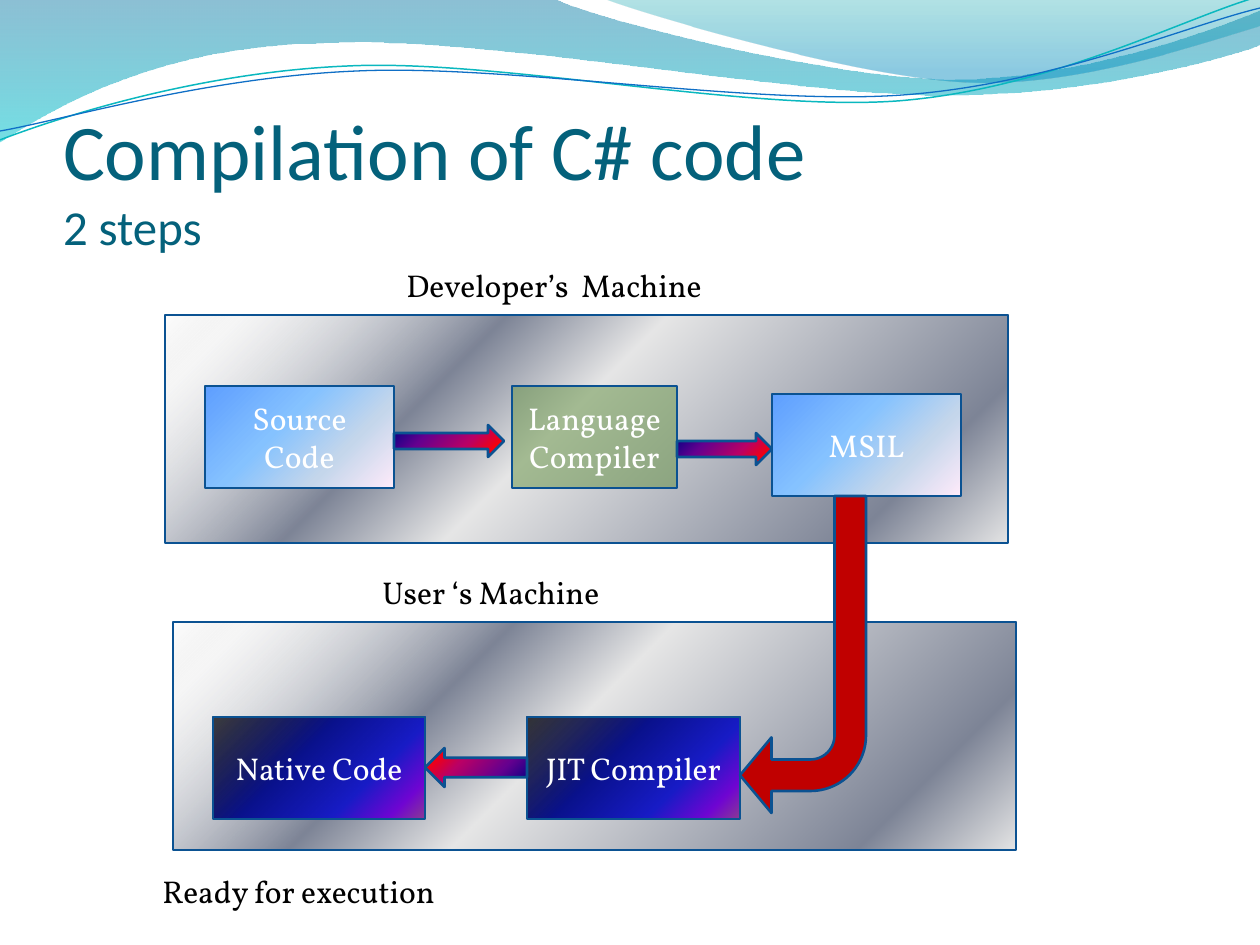
from math import cos, radians, sin

from pptx import Presentation
from pptx.dml.color import RGBColor
from pptx.enum.shapes import MSO_SHAPE
from pptx.enum.text import MSO_ANCHOR, MSO_AUTO_SIZE, PP_ALIGN
from pptx.oxml import parse_xml
from pptx.oxml.ns import nsdecls, qn
from pptx.util import Pt

PX = 914400 / 126  # EMU in one px

# Fills are (angle, stops); a stop is (position %, colour, opacity %)
THEME = {
    "title_font": "Calibri", "body_font": "Vollkorn",
    "title_size": 45, "subtitle_size": 27.9, "body_size": 18,
    "title": "04617B", "dark": "000000", "light": "FFFFFF",
    "outline": "0B5292", "outline_width": 1.5,
    "wave": (90, [(0, "0074A1", 45), (100, "00C6CF", 55)]),
    "crest": (90, [(0, "00A1A9", 30), (80, "008BBF", 45)]),
    "panel": (45, [(0, "FFFFFF", 100), (7, "E6E6E6", 34), (32, "7D8496", 100),
                   (47, "E6E6E6", 100), (85, "7D8496", 100), (100, "E6E6E6", 100)]),
    "sky": (45, [(0, "5E9EFF", 100), (40, "85C2FF", 100),
                 (70, "C4D6EB", 100), (100, "FFEBFA", 100)]),
    "night": (45, [(0, "000000", 73), (40, "0A128C", 100), (70, "181CC7", 100),
                   (88, "7005D4", 100), (100, "8C3D91", 100)]),
    "flame": (45, [(0, "000082", 100), (30, "66008F", 100), (65, "BA0066", 100),
                   (90, "FF0000", 100), (100, "FF8200", 100)]),
    "green": (0, [(0, "629040", 50)]),
    "red": (0, [(0, "C00000", 100)]),
}

TITLE = [("Compilation of C# code ", "title_size"), ("2 steps", "subtitle_size")]
TITLE_AREA = (63, 97, 1144, 158)

# Each segment after the start is one point (line) or three points (curve)
TILT, PIVOT = -2.7, (629, 73)
WAVES = [  # fill, line, rotation, start, segments
    ("wave", None, 0, (0, 0), [
        [(554, -1)],
        [(600, 21), (837, 79), (955, 79)],
        [(1074, 79), (1207, 33), (1260, 11)],
        [(1261, 45)],
        [(1235, 55), (1096, 96), (940, 95)],
        [(784, 95), (481, 35), (324, 43)],
        [(163, 45), (58, 105), (-1, 142)]]),
    ("crest", None, 0, (604, -1), [
        [(641, 14), (859, 78), (969, 82)],
        [(1079, 87), (1211, 40), (1260, 26)],
        [(1260, 0)]]),
    (None, ("0AB8BF", 0.85), TILT, (0, 140), [
        [(60, 117), (199, 72), (349, 66)],
        [(498, 59), (747, 112), (898, 101)],
        [(1050, 89), (1182, 19), (1257, -3)]]),
    (None, ("0F6FC6", 0.75), TILT, (0, 131), [
        [(59, 121), (207, 77), (357, 71)],
        [(508, 64), (752, 106), (903, 95)],
        [(1053, 84), (1185, 26), (1260, 8)]]),
]

PANELS = [(173, 622), (165, 315)]
PANEL_SIZE = (843, 228)

STAGE_HEIGHT = 102
STAGES = [  # text, left, top, width, fill
    ("Source Code", 205, 386, 189, "sky"),
    ("Language Compiler", 512, 386, 165, "green"),
    ("MSIL", 772, 394, 189, "sky"),
    ("Native Code", 213, 717, 212, "night"),
    ("JIT Compiler", 527, 717, 213, "night"),
]

ARROWS = [  # shape, area, rotation, fill, adjustments
    (MSO_SHAPE.BENT_ARROW, (740, 496, 126, 317), 180, "red", (0.25, 0.3, 0.25, 0.44)),
    (MSO_SHAPE.RIGHT_ARROW, (394, 425, 110, 32), 0, "flame", ()),
    (MSO_SHAPE.RIGHT_ARROW, (677, 433, 95, 32), 0, "flame", ()),
    (MSO_SHAPE.RIGHT_ARROW, (425, 748, 102, 39), 180, "flame", ()),
]

LABEL_HEIGHT = 50
LABELS = [  # text, left, top, width
    ("Developer’s  Machine", 394, 260, 362),
    ("User ‘s Machine", 370, 567, 362),
    ("Ready for execution", 150, 866, 307),
]


def emu(*lengths):
    return [round(length * PX) for length in lengths]


def paint(shape, name):
    """Fill a shape with a theme fill, keeping its opacity."""
    angle, stops = THEME[name]
    colors = [f'<a:srgbClr val="{color}"><a:alpha val="{opacity * 1000}"/></a:srgbClr>'
              for _, color, opacity in stops]
    if len(stops) == 1:
        xml = f'<a:solidFill {nsdecls("a")}>{colors[0]}</a:solidFill>'
    else:
        marks = "".join(f'<a:gs pos="{stop[0] * 1000}">{color}</a:gs>'
                        for stop, color in zip(stops, colors))
        xml = (f'<a:gradFill {nsdecls("a")} rotWithShape="1"><a:gsLst>{marks}</a:gsLst>'
               f'<a:lin ang="{angle * 60000}" scaled="0"/></a:gradFill>')
    shape.fill.background()
    properties = shape._element.spPr
    properties.replace(properties.find(qn("a:noFill")), parse_xml(xml))


def style(shape, fill, line):
    shape.shadow.inherit = False
    if fill:
        paint(shape, fill)
    else:
        shape.fill.background()
    if line:
        shape.line.color.rgb = RGBColor.from_string(line[0])
        shape.line.width = Pt(line[1])
    else:
        shape.line.fill.background()


def add_span(para, text, font, size, color):
    span = para.add_run()
    span.text = text
    span.font.name = THEME[font]
    span.font.size = Pt(THEME[size])
    span.font.color.rgb = RGBColor.from_string(THEME[color])


def add_block(page, kind, area, fill):
    shape = page.shapes.add_shape(kind, *emu(*area))
    style(shape, fill, (THEME["outline"], THEME["outline_width"]))
    return shape


def turn(point, degrees):
    """Rotate a point clockwise about the pivot."""
    x, y = point[0] - PIVOT[0], point[1] - PIVOT[1]
    c, s = cos(radians(degrees)), sin(radians(degrees))
    return PIVOT[0] + x * c - y * s, PIVOT[1] + x * s + y * c


def add_wave(page, start, segments, rotation, closed):
    """Draw the points as lines, then join each three of a curve into one Bezier."""
    points = [emu(*turn(point, -rotation)) for segment in segments for point in segment]
    builder = page.shapes.build_freeform(*emu(*turn(start, -rotation)))
    builder.add_line_segments(points, close=closed)
    shape = builder.convert_to_shape()
    lines = iter(list(shape._element.iter(qn("a:lnTo"))))
    for segment in segments:
        steps = [next(lines) for _ in segment]
        if len(steps) == 3:
            curve = parse_xml(f'<a:cubicBezTo {nsdecls("a")}/>')
            steps[0].addprevious(curve)
            for step in steps:
                curve.append(step[0])
                step.getparent().remove(step)
    shape.rotation = rotation
    return shape


deck = Presentation()
deck.slide_width, deck.slide_height = emu(1260, 945)
page = deck.slides.add_slide(deck.slide_layouts[5])

# Waves along the top
for fill, line, rotation, start, segments in WAVES:
    style(add_wave(page, start, segments, rotation, fill is not None), fill, line)

# Machines
for corner in PANELS:
    add_block(page, MSO_SHAPE.RECTANGLE, (*corner, *PANEL_SIZE), "panel")

# Title with its second line, in front of the waves and machines
title = page.shapes.title
title._element.getparent().append(title._element)
title.left, title.top, title.width, title.height = emu(*TITLE_AREA)
frame = title.text_frame
frame.auto_size = MSO_AUTO_SIZE.NONE
frame.vertical_anchor = MSO_ANCHOR.BOTTOM
frame.margin_left, frame.margin_top, frame.margin_right, frame.margin_bottom = emu(0, 6, 0, 0)
para = frame.paragraphs[0]
para.alignment = PP_ALIGN.LEFT
for index, (text, size) in enumerate(TITLE):
    if index:
        para.add_line_break()
    add_span(para, text, "title_font", size, "title")

# Stages of the compilation
for text, left, top, width, fill in STAGES:
    box = add_block(page, MSO_SHAPE.RECTANGLE, (left, top, width, STAGE_HEIGHT), fill)
    box.text_frame.word_wrap = True
    box.text_frame.vertical_anchor = MSO_ANCHOR.MIDDLE
    para = box.text_frame.paragraphs[0]
    para.alignment = PP_ALIGN.CENTER
    add_span(para, text, "body_font", "body_size", "light")

# Block arrows
for kind, area, rotation, fill, adjustments in ARROWS:
    arrow = add_block(page, kind, area, fill)
    arrow.rotation = rotation
    for index, value in enumerate(adjustments):
        arrow.adjustments[index] = value

# Labels
for text, left, top, width in LABELS:
    label = page.shapes.add_textbox(*emu(left, top, width, LABEL_HEIGHT))
    label.text_frame.word_wrap = True
    add_span(label.text_frame.paragraphs[0], text, "body_font", "body_size", "dark")

deck.save("out.pptx")
